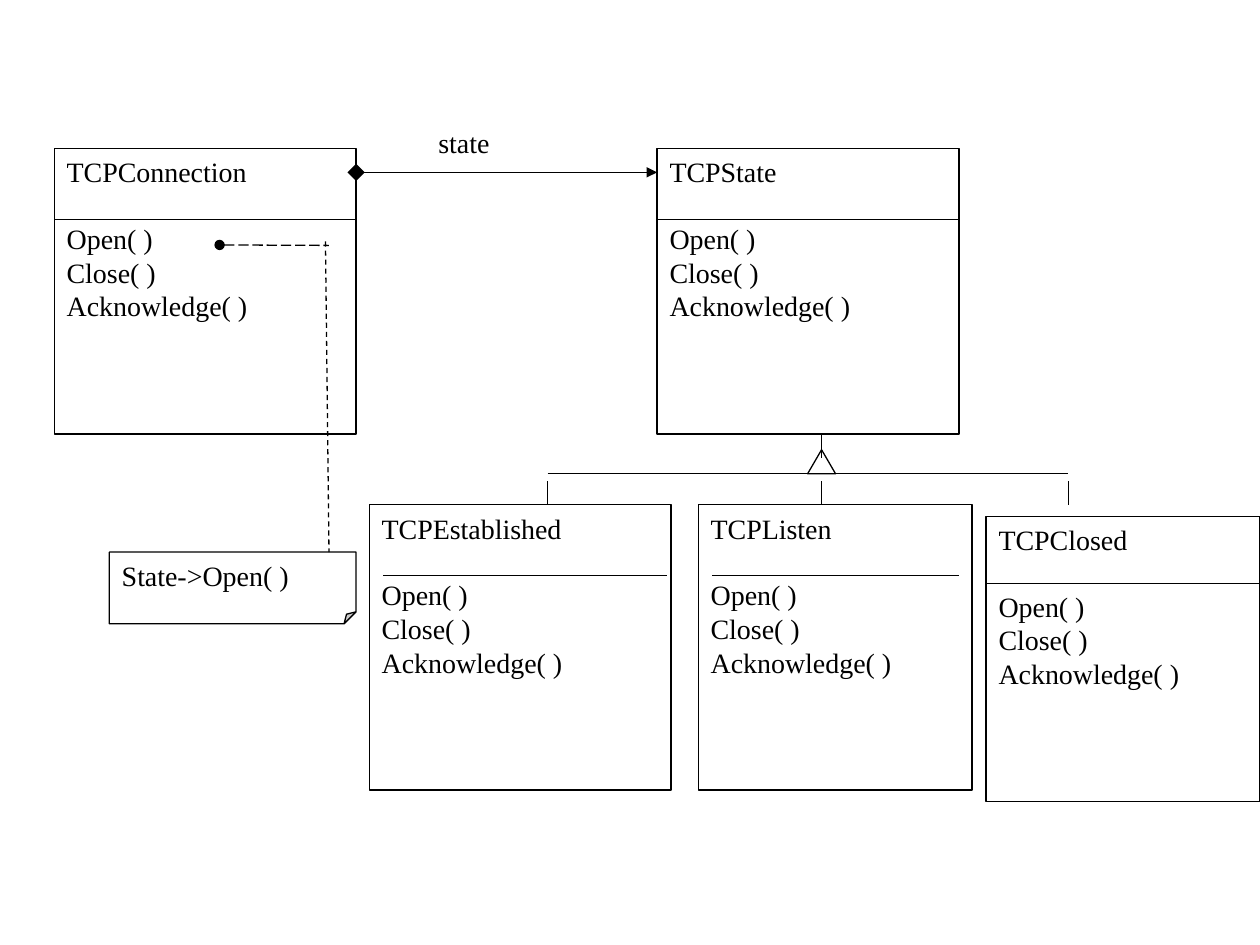
"""Build a class diagram of the State pattern for TCP connections."""
from pptx import Presentation
from pptx.dml.color import RGBColor
from pptx.enum.dml import MSO_LINE
from pptx.enum.shapes import MSO_CONNECTOR, MSO_SHAPE
from pptx.enum.text import MSO_ANCHOR, PP_ALIGN
from pptx.oxml.ns import qn
from pptx.util import Pt
from lxml import etree

BLACK = RGBColor(0, 0, 0)
WHITE = RGBColor(255, 255, 255)
RECTANGLE = MSO_SHAPE.RECTANGLE
NOTE = MSO_SHAPE.FOLDED_CORNER
TRIANGLE = MSO_SHAPE.ISOSCELES_TRIANGLE
STRAIGHT = MSO_CONNECTOR.STRAIGHT
DASH = MSO_LINE.DASH
LONG_DASH = MSO_LINE.LONG_DASH
TOP = MSO_ANCHOR.TOP
JUSTIFY = PP_ALIGN.JUSTIFY

OPERATIONS = ["Open( )", "Close( )", "Acknowledge( )"]
CLASS_HEIGHT = 163
NAME_GAP = 19
UPPER_TOP, LOWER_TOP, CLOSED_TOP = 85, 288.5, 295
BRANCHES = (313, 469.5, 610.5)


def write(paragraph, text, *, font, size, color=BLACK, before=0):
    """Put formatted text into a paragraph."""
    paragraph.alignment = JUSTIFY
    paragraph.space_before = Pt(before)
    span = paragraph.add_run()
    span.text = text
    span.font.name = font
    span.font.size = Pt(size)
    span.font.color.rgb = color


class Diagram:
    """Hold the drawing style and the current slide."""

    font = "Times New Roman"
    size = 16
    weight = 0.75

    def __init__(self, page):
        self.page = page

    def shape(self, kind, left, top, width, height, outlined=True):
        box = self.page.shapes.add_shape(kind, Pt(left), Pt(top), Pt(width), Pt(height))
        box.shadow.inherit = False
        box.fill.solid()
        box.fill.fore_color.rgb = WHITE
        if outlined:
            box.line.color.rgb = BLACK
            box.line.width = Pt(self.weight)
        else:
            box.line.fill.background()
        return box

    def text_box(self, kind, lines, left, top, width, height,
                 inset=7.2, outlined=True, name_gap=0):
        box = self.shape(kind, left, top, width, height, outlined)
        frame = box.text_frame
        frame.word_wrap = True
        frame.vertical_anchor = TOP
        frame.margin_left = frame.margin_right = Pt(inset)
        frame.margin_top = frame.margin_bottom = Pt(inset / 2)
        for index, text in enumerate(lines):
            paragraph = frame.add_paragraph() if index else frame.paragraphs[0]
            write(paragraph, text, font=self.font, size=self.size,
                  before=name_gap if index == 1 else 0)

    def line(self, x1, y1, x2, y2, dash=None, head=None, tail=None, head_size="med"):
        connector = self.page.shapes.add_connector(STRAIGHT, Pt(x1), Pt(y1), Pt(x2), Pt(y2))
        connector.line.color.rgb = BLACK
        connector.line.width = Pt(self.weight)
        if dash:
            connector.line.dash_style = dash
        outline = connector.line._get_or_add_ln()
        for tag, end, size in (("a:headEnd", head, head_size), ("a:tailEnd", tail, "med")):
            if end:
                etree.SubElement(outline, qn(tag), type=end, w=size, len=size)
        etree.SubElement(connector._element.spPr, qn("a:effectLst"))

    def class_box(self, name, left, top, width, divider=40.5, indent=0, outdent=0):
        self.text_box(RECTANGLE, [name, *OPERATIONS], left, top, width, CLASS_HEIGHT,
                      name_gap=NAME_GAP)
        self.line(left + indent, top + divider, left + width - outdent, top + divider)


def main():
    """Draw the classes and their relations, then save the deck."""
    deck = Presentation()
    deck.slide_width, deck.slide_height = Pt(720), Pt(540)
    diagram = Diagram(deck.slides.add_slide(deck.slide_layouts[6]))

    diagram.class_box("TCPConnection", 31, UPPER_TOP, 172.5)
    diagram.class_box("TCPState", 375.5, UPPER_TOP, 172.5)
    diagram.class_box("TCPEstablished", 211, LOWER_TOP, 172.5, indent=8, outdent=2.5)
    diagram.class_box("TCPListen", 399, LOWER_TOP, 156.5, indent=8, outdent=7.5)
    diagram.class_box("TCPClosed", 563.5, CLOSED_TOP, 156.5, divider=38.5)

    diagram.text_box(NOTE, ["State->Open( )"], 62.5, 315.5, 141, 41)
    diagram.text_box(RECTANGLE, ["state"], 250.5, 71.5, 47, 27, inset=0, outlined=False)
    diagram.line(203.5, 98.5, 375.5, 98.5, head="diamond", tail="triangle", head_size="lg")
    diagram.line(125.5, 140, 188, 140.25, dash=LONG_DASH, head="oval")
    diagram.line(186, 138, 188, 315.5, dash=DASH)

    diagram.line(BRANCHES[0], 270.5, BRANCHES[-1], 270.5)
    for x in BRANCHES:
        diagram.line(x, 275, x, LOWER_TOP)
    diagram.shape(TRIANGLE, BRANCHES[1] - 8, 257, 16, 13.75)
    diagram.line(BRANCHES[1], UPPER_TOP + CLASS_HEIGHT, BRANCHES[1], 261.5)

    deck.save("out.pptx")


if __name__ == "__main__":
    main()
